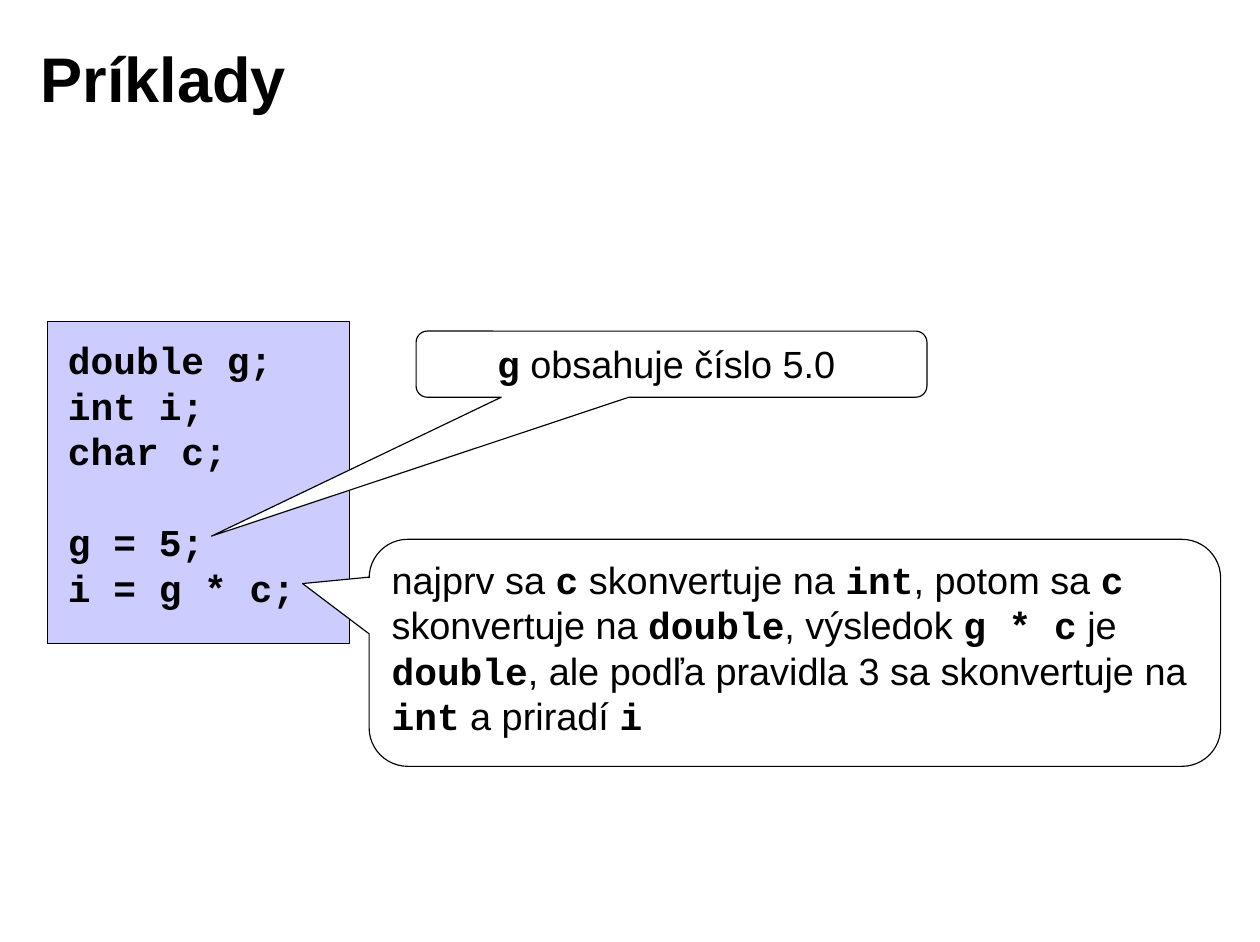
import pptx
import pptx.util
import pptx.dml.color
import pptx.enum.shapes
import pptx.enum.text

Cm = pptx.util.Cm
Pt = pptx.util.Pt
Shapes = pptx.enum.shapes.MSO_SHAPE
Anchor = pptx.enum.text.MSO_ANCHOR
Align = pptx.enum.text.PP_ALIGN

COLORS = {"text": "000000", "line": "000000", "code": "CCCCFF", "callout": "FFFFFF"}
BODY_FONT = "Arial"
CODE_FONT = "Courier New"
CODE_GAP = 29
CORNER = 0.17

TITLE = "Príklady"
DECLARATIONS = ["double g;", "int i;", "char c;"]
STATEMENTS = ["g = 5;", "i = g * c;"]
CALLOUTS = [
    {
        "text": "`g` obsahuje číslo 5.0 ",
        "place": (9.31, 7.41, 11.43, 1.48),
        "tip": (4.73, 12),
        "align": Align.CENTER,
    },
    {
        "text": "najprv sa `c` skonvertuje na `int`, potom sa `c` skonvertuje na "
                "`double`, výsledok `g * c` je `double`, ale podľa pravidla 3 sa "
                "skonvertuje na `int` a priradí `i`",
        "place": (8.26, 12.07, 19.05, 5.08),
        "tip": (6.77, 13.06),
        "align": Align.LEFT,
    },
]


def color(name):
    return pptx.dml.color.RGBColor.from_string(COLORS[name])


def write(frame, lines, size=24, bold=False, align=Align.LEFT, anchor=Anchor.TOP,
          wrap=True, inset=(0.25, 0.13)):
    frame.auto_size = pptx.enum.text.MSO_AUTO_SIZE.NONE
    frame.word_wrap = wrap
    frame.vertical_anchor = anchor
    frame.margin_left = frame.margin_right = Cm(inset[0])
    frame.margin_top = frame.margin_bottom = Cm(inset[1])
    for number, line in enumerate(lines):
        paragraph = frame.add_paragraph() if number else frame.paragraphs[0]
        paragraph.alignment = align
        for position, piece in enumerate(line.split("`")):
            if not piece:
                continue
            is_code = position % 2 == 1
            run = paragraph.add_run()
            run.text = piece
            run.font.name = CODE_FONT if is_code else BODY_FONT
            run.font.size = Pt(size)
            run.font.bold = bold or is_code
            run.font.color.rgb = color("text")


def add_panel(slide, kind, place, fill):
    panel = slide.shapes.add_shape(kind, *map(Cm, place))
    panel.shadow.inherit = False
    panel.fill.solid()
    panel.fill.fore_color.rgb = color(fill)
    panel.line.color.rgb = color("line")
    panel.line.width = Pt(0.75)
    return panel


def add_callout(slide, text, place, tip, align):
    bubble = add_panel(slide, Shapes.ROUNDED_RECTANGULAR_CALLOUT, place, "callout")
    left, top, width, height = place
    bubble.adjustments[0] = (tip[0] - left) / width - 0.5
    bubble.adjustments[1] = (tip[1] - top) / height - 0.5
    bubble.adjustments[2] = CORNER
    write(bubble.text_frame, [text], align=align)


def main():
    deck = pptx.Presentation()
    deck.slide_width, deck.slide_height = Cm(28.19), Cm(21.08)
    slide = deck.slides.add_slide(deck.slide_layouts[5])

    title = slide.shapes.title
    title.left, title.top, title.width, title.height = map(Cm, (0.63, 0.43, 22.66, 2.59))
    write(title.text_frame, [TITLE], size=40, bold=True, anchor=Anchor.MIDDLE,
          inset=(0.28, 0.15))

    add_panel(slide, Shapes.RECTANGLE, (1.06, 7.2, 6.77, 7.2), "code")
    listing = slide.shapes.add_textbox(*map(Cm, (1.27, 7.41, 5.59, 6.35))).text_frame
    write(listing, [f"`{line}`" for line in DECLARATIONS + STATEMENTS], wrap=False)
    listing.paragraphs[len(DECLARATIONS)].space_before = Pt(CODE_GAP)

    for callout in CALLOUTS:
        add_callout(slide, **callout)

    deck.save("out.pptx")


if __name__ == "__main__":
    main()
